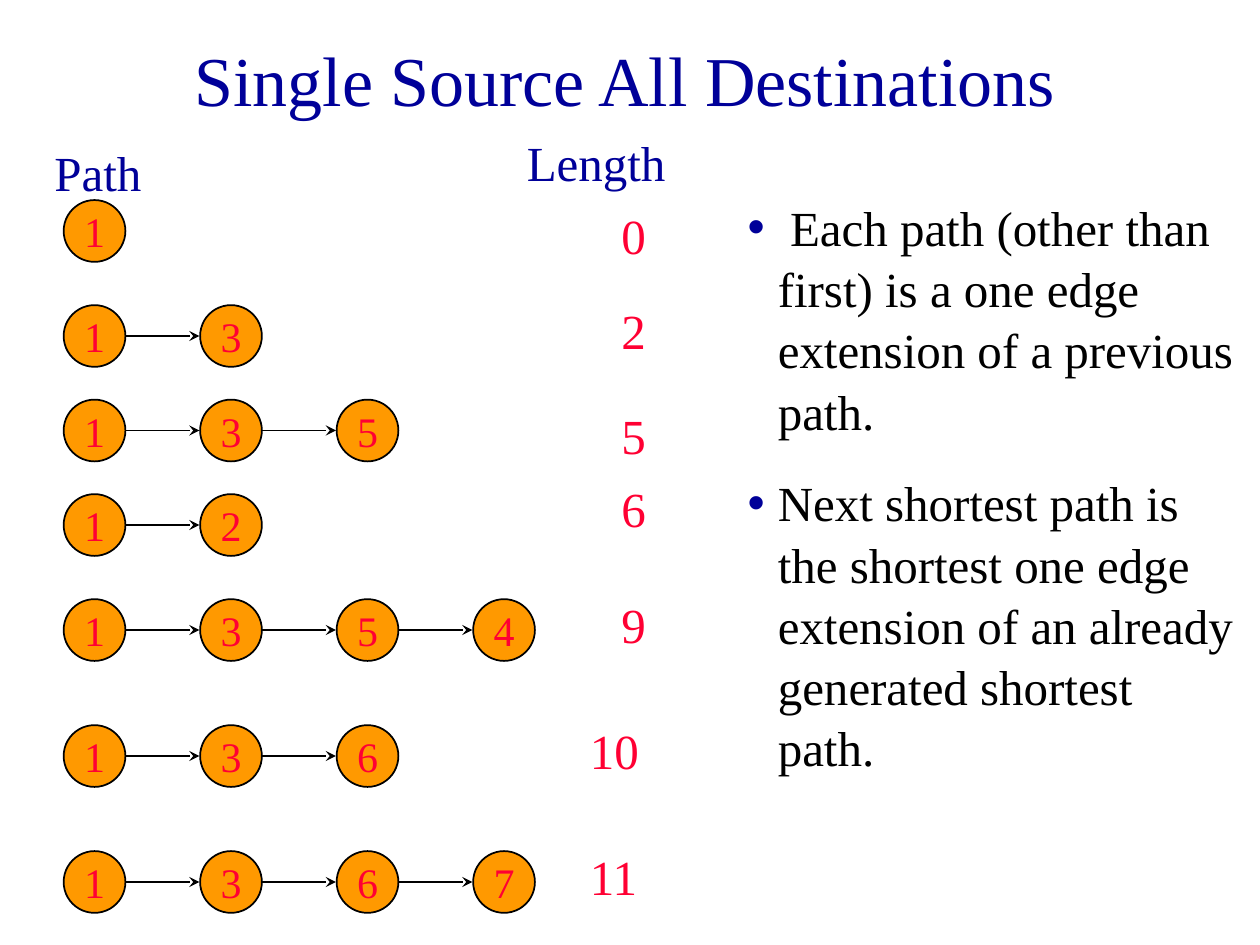
from lxml import etree
from pptx import Presentation, util as u
from pptx.dml.color import RGBColor
from pptx.enum import shapes, text
from pptx.oxml.ns import qn

NAVY = RGBColor(0x00, 0x00, 0x99)
RED = RGBColor(0xFF, 0x00, 0x33)
ORANGE = RGBColor(0xFF, 0x99, 0x00)
BLACK = RGBColor(0, 0, 0)
FACE = "Times New Roman"

CELL = u.Inches(10) / 120  # the slide is 120 cells wide and 90 high
LEFT, STEP, HALF = 9, 13, 2.94  # first node's centre, node pitch, radius

# nodes on the path, row of their centres, length, left and top of the length
PATHS = [
    ("1", 22, "0", 58, 19),
    ("13", 32, "2", 58, 28),
    ("135", 41, "5", 58, 38),
    ("12", 50, "6", 58, 45),
    ("1354", 60, "9", 58, 56),
    ("136", 72, "10", 55, 68),
    ("1367", 84, "11", 55, 80),
]
POINTS = [
    " Each path (other than first) is a one edge extension of a previous path.",
    "Next shortest path is the shortest one edge extension of an already "
    "generated shortest path.",
]


def grid(*cells):
    return [u.Emu(round(n * CELL)) for n in cells]


def style(para, size, color):
    for run in para.runs:
        run.font.name = FACE
        run.font.size = u.Pt(size)
        run.font.color.rgb = color


def place(shape, *cells):
    shape.left, shape.top, shape.width, shape.height = grid(*cells)


def label(slide, words, color, *cells):
    frame = slide.shapes.add_textbox(*grid(*cells)).text_frame
    frame.word_wrap = True
    frame.text = words
    style(frame.paragraphs[0], 28, color)


def node(slide, name, x, y):
    disc = slide.shapes.add_shape(
        shapes.MSO_SHAPE.OVAL, *grid(x - HALF, y - HALF, 2 * HALF, 2 * HALF))
    disc.shadow.inherit = False
    disc.fill.solid()
    disc.fill.fore_color.rgb = ORANGE
    disc.line.color.rgb = BLACK
    disc.line.width = u.Pt(1)
    frame = disc.text_frame
    frame.margin_left = frame.margin_right = 0
    frame.margin_top = frame.margin_bottom = 0
    frame.word_wrap = False
    frame.vertical_anchor = text.MSO_ANCHOR.MIDDLE
    frame.text = name
    frame.paragraphs[0].alignment = text.PP_ALIGN.CENTER
    style(frame.paragraphs[0], 24, RED)


def arrow(slide, x, y, end):
    link = slide.shapes.add_connector(
        shapes.MSO_CONNECTOR.STRAIGHT, *grid(x, y, end, y))
    link.line.color.rgb = BLACK
    link.line.width = u.Pt(1)
    props = link._element.spPr
    etree.SubElement(props.find(qn("a:ln")), qn("a:tailEnd"), type="stealth")
    etree.SubElement(props, qn("a:effectLst"))


def path(slide, names, y):
    """Draw a row of nodes, each joined to the one before it."""
    for col, name in enumerate(names):
        x = LEFT + col * STEP
        node(slide, name, x, y)
        if col:
            arrow(slide, x - STEP + 3, y, x - 3)


def bullet(para):
    props = para._p.get_or_add_pPr()
    indent = u.Inches(0.24)
    props.set("marL", str(indent))
    props.set("indent", str(-indent))
    tint = etree.SubElement(props, qn("a:buClr"))
    etree.SubElement(tint, qn("a:srgbClr"), val=str(NAVY))
    etree.SubElement(props, qn("a:buChar"), char="•")


def points(slide, items):
    body = slide.placeholders[1]
    place(body, 70, 18, 49, 49)
    frame = body.text_frame
    frame.auto_size = text.MSO_AUTO_SIZE.NONE
    frame.text = "\n".join(items)
    for row, para in enumerate(frame.paragraphs):
        bullet(para)
        para.line_spacing = 1.04
        para.space_before = u.Pt(17.5 if row else 0)
        style(para, 28, BLACK)


def title(slide, words):
    head = slide.shapes.title
    place(head, 3, 0, 113, 15)
    head.text_frame.text = words
    style(head.text_frame.paragraphs[0], 40, NAVY)


def main():
    deck = Presentation()
    deck.slide_width, deck.slide_height = grid(120, 90)
    slide = deck.slides.add_slide(deck.slide_layouts[1])
    title(slide, "Single Source All Destinations")
    label(slide, "Path", NAVY, 4, 13, 11, 6.8)
    label(slide, "Length", NAVY, 49, 12, 18, 6.8)
    for names, row, length, left, top in PATHS:
        path(slide, names, row)
        label(slide, length, RED, left, top, 63 - left, 6.8)
    points(slide, POINTS)
    deck.save("out.pptx")


if __name__ == "__main__":
    main()
